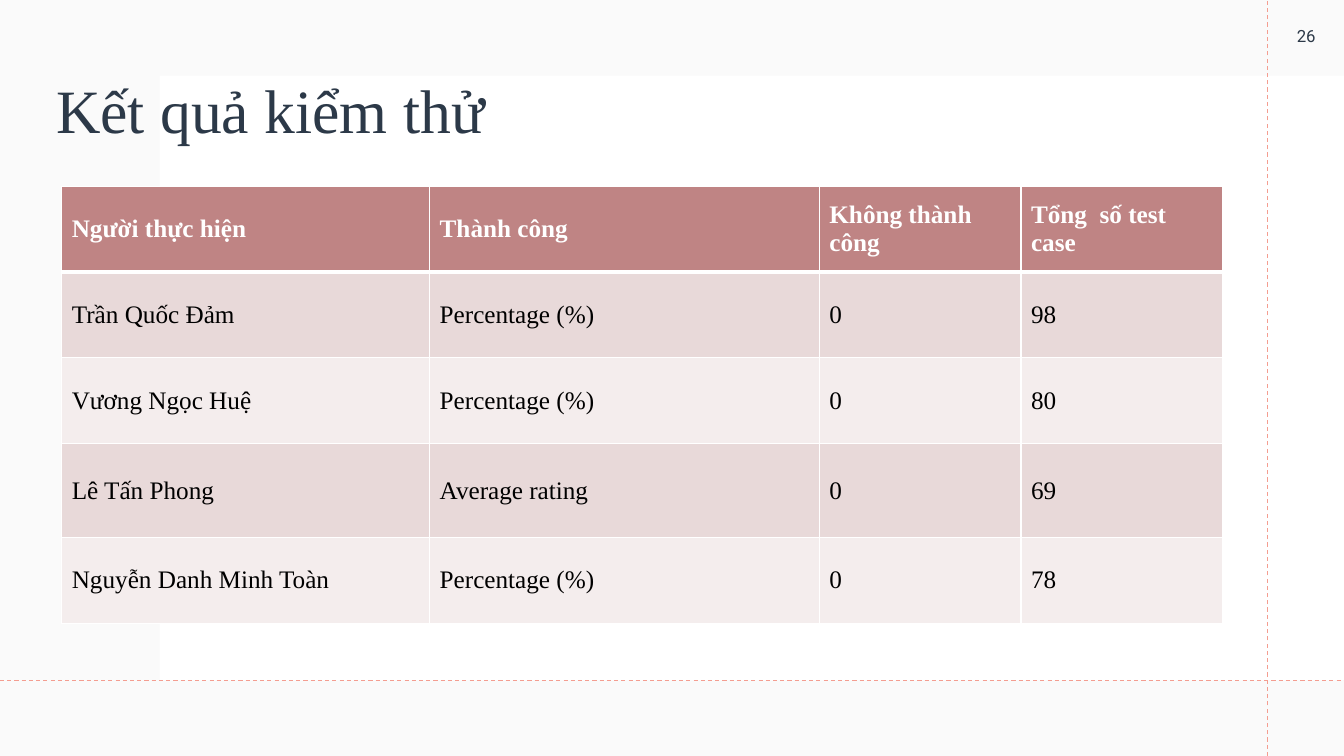
from dataclasses import dataclass

from lxml import etree
from pptx import Presentation
from pptx.dml.color import RGBColor
from pptx.enum.dml import MSO_LINE
from pptx.enum.shapes import MSO_CONNECTOR, MSO_SHAPE
from pptx.enum.text import MSO_ANCHOR, PP_ALIGN
from pptx.oxml.ns import qn
from pptx.util import Inches, Pt

DASH = MSO_LINE.DASH
STRAIGHT = MSO_CONNECTOR.STRAIGHT
RECTANGLE = MSO_SHAPE.RECTANGLE
MIDDLE = MSO_ANCHOR.MIDDLE
LEFT, CENTER = PP_ALIGN.LEFT, PP_ALIGN.CENTER

GRID_COLUMNS, GRID_ROWS = 160, 90


@dataclass(frozen=True)
class Theme:
    white: str = "FFFFFF"
    backdrop: str = "F4F4F4"
    backdrop_opacity: int = 45
    guide: str = "F49D90"
    ink: str = "2C3948"
    body: str = "000000"
    header: str = "BF8484"
    bands: tuple = ("E8D9D9", "F4EDED")
    serif: str = "Times New Roman"
    sans: str = "Roboto"
    title_size: int = 44
    table_size: int = 18
    number_size: int = 12
    guide_width: float = 0.75
    border: int = 1
    header_border: int = 3


class SlideBuilder:
    """Draws themed elements on one slide, measured in grid columns and rows."""

    def __init__(self, deck, theme):
        self.theme = theme
        self.column = deck.slide_width / GRID_COLUMNS
        self.row = deck.slide_height / GRID_ROWS
        self.page = deck.slides.add_slide(deck.slide_layouts[6])

    def place(self, left, top, width, height):
        return (round(left * self.column), round(top * self.row),
                round(width * self.column), round(height * self.row))

    def style(self, para, font_name, size, color, bold=False):
        for span in para.runs:
            span.font.name = font_name
            span.font.size = Pt(size)
            span.font.bold = bold
            span.font.color.rgb = RGBColor.from_string(color)

    def panel(self, area, color, opacity=100):
        shape = self.page.shapes.add_shape(RECTANGLE, *self.place(*area))
        shape.shadow.inherit = False
        shape.fill.solid()
        shape.fill.fore_color.rgb = RGBColor.from_string(color)
        shape.line.fill.background()
        if opacity < 100:
            tint = shape.fill._xPr.find(qn("a:solidFill"))[0]
            etree.SubElement(tint, qn("a:alpha"), val=str(opacity * 1000))

    def guide(self, start, end):
        ends = self.place(*start, *end)
        line = self.page.shapes.add_connector(STRAIGHT, *ends)
        line.line.color.rgb = RGBColor.from_string(self.theme.guide)
        line.line.width = Pt(self.theme.guide_width)
        line.line.dash_style = DASH
        etree.SubElement(line._element.spPr, qn("a:effectLst"))

    def text(self, area, words, font_name, size, align=LEFT, spacing=1.0):
        box = self.page.shapes.add_textbox(*self.place(*area))
        frame = box.text_frame
        frame.word_wrap = True
        frame.vertical_anchor = MIDDLE
        frame.text = words
        para = frame.paragraphs[0]
        para.alignment = align
        para.line_spacing = spacing
        self.style(para, font_name, size, self.theme.ink)

    def borders(self, cell, top, bottom):
        sides = {"lnL": self.theme.border, "lnR": self.theme.border,
                 "lnT": top, "lnB": bottom}
        properties = cell._tc.get_or_add_tcPr()
        for index, (side, width) in enumerate(sides.items()):
            edge = etree.Element(qn(f"a:{side}"), w=str(Pt(width)))
            fill = etree.SubElement(edge, qn("a:solidFill"))
            etree.SubElement(fill, qn("a:srgbClr"), val=self.theme.white)
            properties.insert(index, edge)

    def table(self, left, top, widths, heights, records):
        theme = self.theme
        area = self.place(left, top, sum(widths), sum(heights))
        table = self.page.shapes.add_table(len(heights), len(widths), *area).table
        for column, width in zip(table.columns, widths):
            column.width = round(width * self.column)
        for row, height in zip(table.rows, heights):
            row.height = round(height * self.row)
        for row_index, record in enumerate(records):
            is_header = row_index == 0
            fill = theme.header if is_header else theme.bands[(row_index - 1) % 2]
            color = theme.white if is_header else theme.body
            above = theme.header_border if row_index == 1 else theme.border
            below = theme.header_border if is_header else theme.border
            for column_index, words in enumerate(record):
                cell = table.cell(row_index, column_index)
                cell.fill.solid()
                cell.fill.fore_color.rgb = RGBColor.from_string(fill)
                cell.vertical_anchor = MIDDLE
                cell.text_frame.text = words
                self.style(cell.text_frame.paragraphs[0], theme.serif,
                           theme.table_size, color, is_header)
                self.borders(cell, above, below)


def main():
    deck = Presentation()
    deck.slide_width, deck.slide_height = Inches(13.33), Inches(7.5)
    theme = Theme()
    builder = SlideBuilder(deck, theme)

    builder.panel((0, 0, GRID_COLUMNS, GRID_ROWS), theme.backdrop,
                  theme.backdrop_opacity)
    builder.panel((19, 9, 141, 72), theme.white)
    builder.guide((150.9, GRID_ROWS), (150.9, 0))
    builder.guide((0, 81), (GRID_COLUMNS, 81))
    builder.text((5.5, 4.8, 140, 17.4), "Kết quả kiểm thử", theme.serif,
                 theme.title_size, spacing=0.9)
    builder.text((151, -0.2, 9, 9), "26", theme.sans, theme.number_size, CENTER)

    results = [
        ("Người thực hiện", "Thành công", "Không thành công", "Tổng  số test case"),
        ("Trần Quốc Đảm", "Percentage (%)", "0", "98"),
        ("Vương Ngọc Huệ", "Percentage (%)", "0", "80"),
        ("Lê Tấn Phong", "Average rating", "0", "69"),
        ("Nguyễn Danh Minh Toàn", "Percentage (%)", "0", "78"),
    ]
    builder.table(7.35, 22.2, (43.8, 46.4, 24, 24),
                  (10.2, 10.2, 10.2, 11.2, 10.2), results)
    deck.save("out.pptx")


if __name__ == "__main__":
    main()
